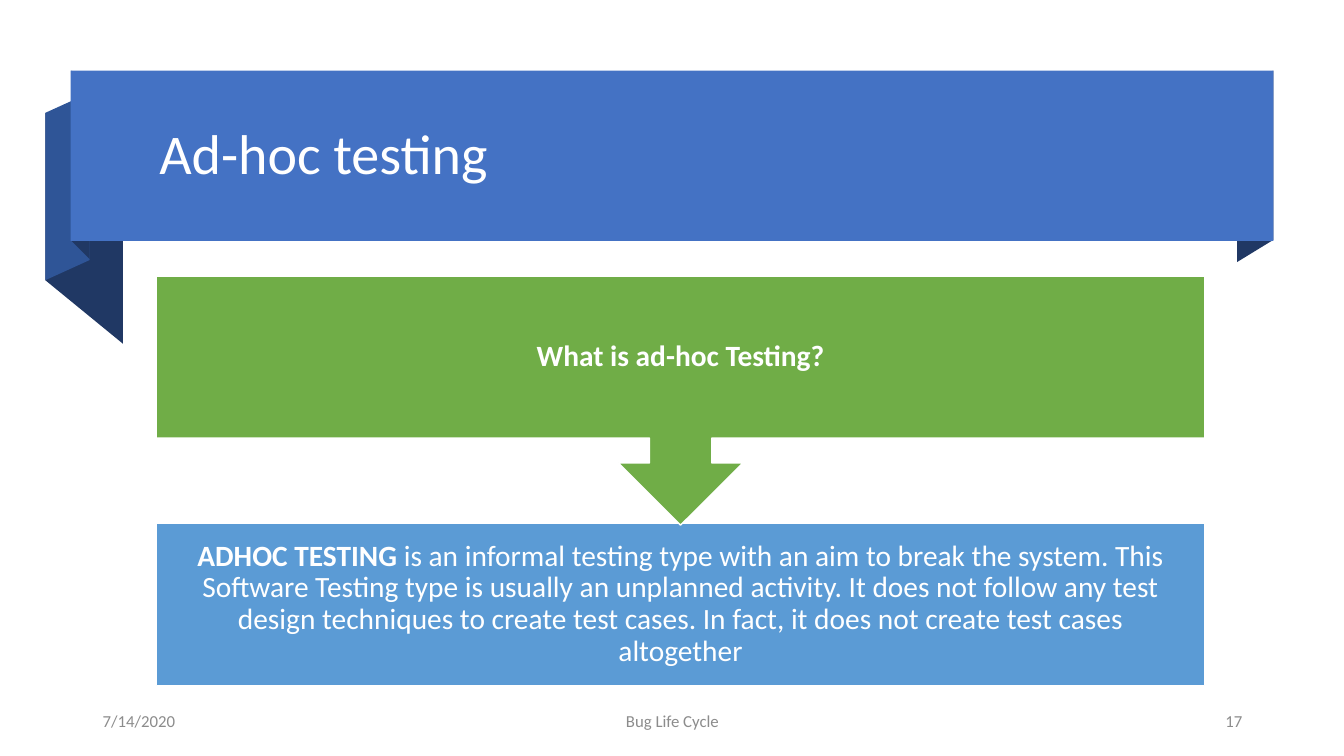
"""Build the ad-hoc testing slide with its ribbon banner and callout."""
from dataclasses import dataclass

from pptx import Presentation
from pptx.dml.color import RGBColor
from pptx.enum.shapes import MSO_SHAPE
from pptx.enum.text import MSO_ANCHOR, MSO_AUTO_SIZE, PP_ALIGN
from pptx.util import Inches, Pt

RECTANGLE = MSO_SHAPE.RECTANGLE
ARROW_CALLOUT = MSO_SHAPE.UP_ARROW_CALLOUT
MIDDLE = MSO_ANCHOR.MIDDLE
NO_AUTOFIT = MSO_AUTO_SIZE.NONE
LEFT, CENTER, RIGHT = PP_ALIGN.LEFT, PP_ALIGN.CENTER, PP_ALIGN.RIGHT

WHITE = RGBColor(0xFF, 0xFF, 0xFF)
NAVY = RGBColor(0x20, 0x38, 0x64)
DARK_BLUE = RGBColor(0x2F, 0x55, 0x97)
BLUE = RGBColor(0x44, 0x72, 0xC4)
LIGHT_BLUE = RGBColor(0x5B, 0x9B, 0xD5)
GREEN = RGBColor(0x70, 0xAD, 0x47)
GRAY = RGBColor(0x8C, 0x8C, 0x8C)

FONT = "Calibri"
PANEL_LEFT, PANEL_WIDTH, PANEL_HEIGHT = 1.55, 10.4, 1.61
QUESTION_TOP, ANSWER_TOP, CALLOUT_HEIGHT = 2.74, 5.19, 2.47
PANEL_INSET = 0.18
FOOTER_TOP, FOOTER_HEIGHT = 6.95, 0.4


@dataclass(frozen=True)
class Fold:
    """A ribbon fold: two upright edges, each given as x, top, bottom."""
    left: tuple[float, float, float]
    right: tuple[float, float, float]
    color: RGBColor


@dataclass(frozen=True)
class Span:
    """A run of text."""
    text: str
    bold: bool = False


@dataclass(frozen=True)
class Style:
    """The look of a text block."""
    size: float
    color: RGBColor
    align: PP_ALIGN
    line_spacing: float = 1.0
    inset: float | None = None


@dataclass(frozen=True)
class Footer:
    """A footer entry."""
    text: str
    left: float
    width: float
    align: PP_ALIGN


FOLDS = [
    Fold((12.27, 0.91, 2.6), (12.63, 0.7, 2.38), NAVY),
    Fold((0.45, 1.12, 2.78), (1.22, 1.75, 3.41), NAVY),
    Fold((0.45, 1.12, 2.78), (0.89, 0.92, 2.58), DARK_BLUE),
    Fold((0.71, 0.7, 2.39), (0.89, 0.89, 2.57), NAVY),
]
TITLE_STYLE = Style(40, WHITE, LEFT, 0.9)
PANEL_STYLE = Style(21, WHITE, CENTER, 0.9, PANEL_INSET)
QUESTION = [Span("What is ad-hoc Testing?", True)]
ANSWER = [
    Span("ADHOC TESTING", True),
    Span("\u00a0is an informal testing type with an aim to break the system. "
         "This Software Testing type is usually an unplanned activity. "
         "It does not follow any test design techniques to create test cases. "
         "In fact, it does not create test cases altogether"),
]
FOOTERS = [
    Footer("7/14/2020", 0.92, 3, LEFT),
    Footer("Bug Life Cycle", 4.42, 4.5, CENTER),
    Footer("17", 9.42, 3, RIGHT),
]


def inches(*values: float) -> list[Inches]:
    """Convert numbers to lengths."""
    return [Inches(value) for value in values]


def paint(shape, fill: RGBColor, line: RGBColor | None = None) -> None:
    """Give a shape a flat fill and an optional thin outline."""
    shape.shadow.inherit = False
    shape.fill.solid()
    shape.fill.fore_color.rgb = fill
    if line is None:
        shape.line.fill.background()
    else:
        shape.line.color.rgb = line
        shape.line.width = Pt(1)


def write(shape, spans: list[Span], style: Style) -> None:
    """Fill a shape with one styled paragraph."""
    frame = shape.text_frame
    frame.word_wrap = True
    frame.auto_size = NO_AUTOFIT
    frame.vertical_anchor = MIDDLE
    if style.inset is not None:
        inset = Inches(style.inset)
        frame.margin_left = frame.margin_right = inset
        frame.margin_top = frame.margin_bottom = inset
    para = frame.paragraphs[0]
    para.alignment = style.align
    para.line_spacing = style.line_spacing
    for span in spans:
        run = para.add_run()
        run.text = span.text
        run.font.name = FONT
        run.font.size = Pt(style.size)
        run.font.bold = span.bold
        run.font.color.rgb = style.color


def draw_fold(page, fold: Fold) -> None:
    """Draw one slanted fold of the ribbon."""
    left, left_top, left_bottom = inches(*fold.left)
    right, right_top, right_bottom = inches(*fold.right)
    builder = page.shapes.build_freeform(right, right_bottom)
    builder.add_line_segments(
        [(left, left_bottom), (left, left_top), (right, right_top)], close=True)
    paint(builder.convert_to_shape(), fold.color)


def draw_banner(page) -> None:
    """Draw the ribbon and set the title upon it."""
    for fold in FOLDS:
        draw_fold(page, fold)
    banner = page.shapes.add_shape(RECTANGLE, *inches(0.7, 0.7, 11.93, 1.69))
    paint(banner, BLUE)
    title = page.shapes.title
    title.left, title.top, title.width, title.height = inches(1.48, 0.83, 10.94, 1.45)
    write(title, [Span("Ad-hoc testing")], TITLE_STYLE)
    banner.element.addnext(title.element)


def draw_panels(page) -> None:
    """Draw the question callout pointing at the answer."""
    answer = page.shapes.add_shape(
        RECTANGLE, *inches(PANEL_LEFT, ANSWER_TOP, PANEL_WIDTH, PANEL_HEIGHT))
    paint(answer, LIGHT_BLUE, WHITE)
    write(answer, ANSWER, PANEL_STYLE)
    callout = page.shapes.add_shape(
        ARROW_CALLOUT, *inches(PANEL_LEFT, QUESTION_TOP, PANEL_WIDTH, CALLOUT_HEIGHT))
    callout.rotation = 180
    paint(callout, GREEN, WHITE)
    question = page.shapes.add_textbox(
        *inches(PANEL_LEFT, QUESTION_TOP, PANEL_WIDTH, PANEL_HEIGHT))
    write(question, QUESTION, PANEL_STYLE)


def draw_footer(page, footer: Footer) -> None:
    """Draw one footer entry."""
    box = page.shapes.add_textbox(
        *inches(footer.left, FOOTER_TOP, footer.width, FOOTER_HEIGHT))
    write(box, [Span(footer.text)], Style(12, GRAY, footer.align))


def main() -> None:
    """Build and save the deck."""
    deck = Presentation()
    deck.slide_width, deck.slide_height = inches(13.33, 7.5)
    page = deck.slides.add_slide(deck.slide_layouts.get_by_name("Title Only"))
    draw_banner(page)
    draw_panels(page)
    for footer in FOOTERS:
        draw_footer(page, footer)
    deck.save("out.pptx")


main()
